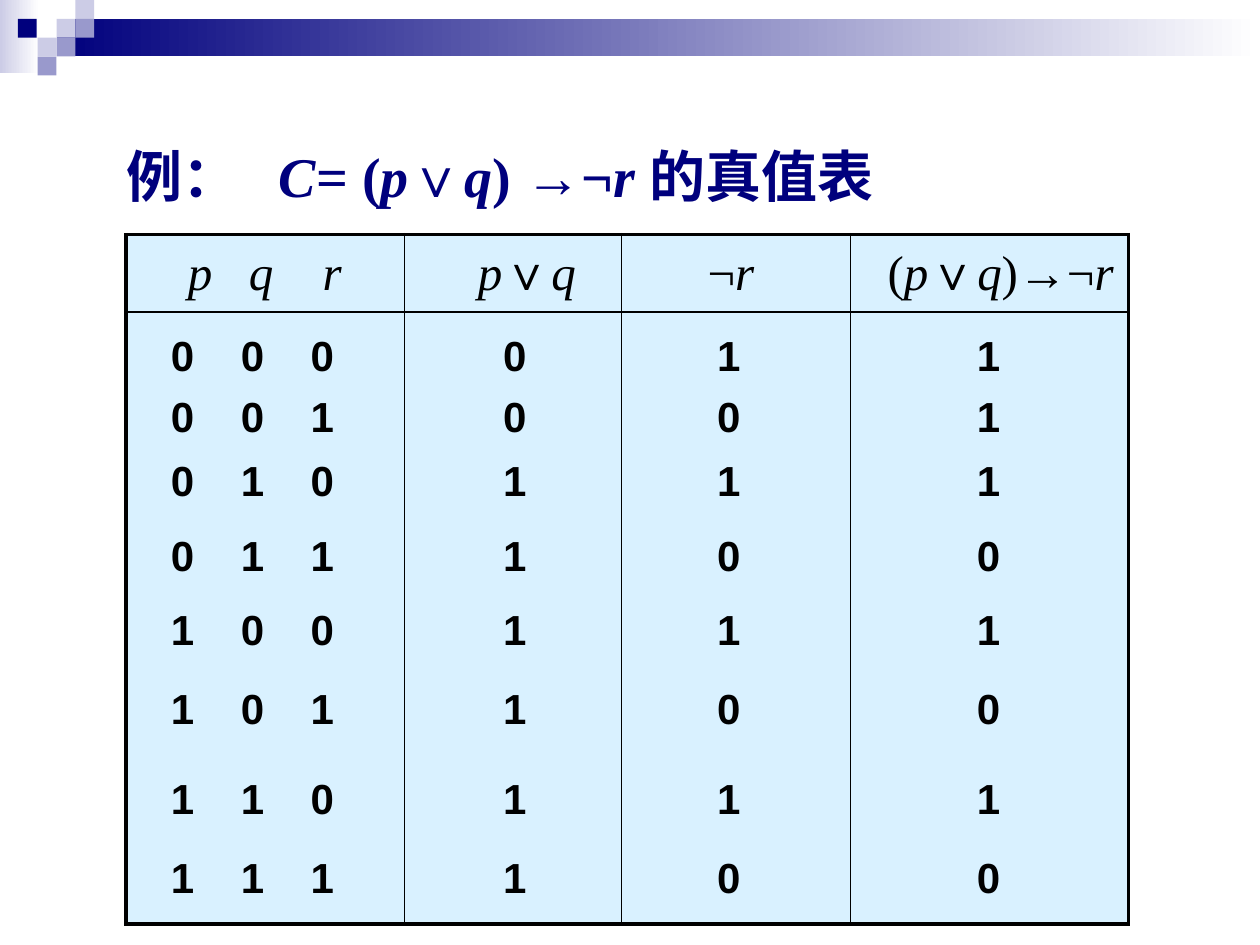
import itertools

import pptx
import pptx.dml.color
import pptx.enum.shapes
import pptx.enum.text
import pptx.oxml
import pptx.oxml.ns
import pptx.util

Cm = pptx.util.Cm
NAVY, LILAC, PALE, WHITE, BLACK, SKY = "00007D", "9999CC", "CCCCE6", "FFFFFF", "000000", "D9F1FF"
SERIF, SANS, CJK = "Times New Roman", "Arial", "Noto Sans CJK SC"
TILE = 0.38
ROW_TOPS = [6.52, 7.75, 9.04, 10.54, 12.04, 13.64, 15.44, 17.04]
COLUMN_LEFTS = [2.69, 7.98, 12.29, 17.53]
COLUMN_WIDTHS = [5.61, 4.38, 4.62, 5.6]
ROW_HEIGHTS = [1.55, 12.34]
HEADERS = [
    (["\t", "*p", "\t", "*q", "\t", "*r"], 0, [1.24, 2.47, 3.9]),
    (["*p", "∨", "*q"], 1.23, []),
    (["¬", "*r"], 1.48, []),
    (["(", "*p", "∨", "*q", ")→¬", "*r"], 0.49, []),
]


def rgb(color):
    """Turn a hex string into a colour."""
    return pptx.dml.color.RGBColor.from_string(color)


def sub(parent, tag, **attrs):
    """Append an XML child with attributes and return it."""
    el = pptx.oxml.parse_xml(f'<{tag} {pptx.oxml.ns.nsdecls("a")}/>')
    for key, value in attrs.items():
        el.set(key, str(value))
    parent.append(el)
    return el


def write(tf, parts, size, font, color=BLACK, bold=False, align="LEFT", spacing=None,
          indent=0, tabs=(), tab_align="ctr"):
    """Fill a text frame with one paragraph; a leading * marks an italic part."""
    p = tf.paragraphs[0]
    p.alignment = getattr(pptx.enum.text.PP_ALIGN, align)
    if spacing:
        p.line_spacing = spacing
    pPr = p._p.get_or_add_pPr()
    if indent:
        pPr.set("marL", str(Cm(indent)))
    if tabs:
        tab_list = sub(pPr, "a:tabLst")
        for pos in tabs:
            sub(tab_list, "a:tab", pos=Cm(pos), algn=tab_align)
    for part in parts:
        r = p.add_run()
        r.text = part.lstrip("*")
        r.font.size = pptx.util.Pt(size)
        r.font.name = font
        r.font.bold = bold
        r.font.italic = part.startswith("*")
        r.font.color.rgb = rgb(color)
        sub(r._r.get_or_add_rPr(), "a:ea", typeface=CJK)


def add_text(slide, left, top, width, height, parts, **style):
    """Add a wrapping text box."""
    tb = slide.shapes.add_textbox(Cm(left), Cm(top), Cm(width), Cm(height))
    tb.text_frame.word_wrap = True
    write(tb.text_frame, parts, **style)


def add_rect(slide, left, top, width, height, color, end=None):
    """Add a borderless rectangle, fading rightwards to the end colour if given."""
    sp = slide.shapes.add_shape(pptx.enum.shapes.MSO_SHAPE.RECTANGLE,
                                Cm(left), Cm(top), Cm(width), Cm(height))
    sp.shadow.inherit = False
    sp.line.fill.background()
    if end:
        sp.fill.gradient()
        sp.fill.gradient_angle = 0
        for stop, value in zip(sp.fill.gradient_stops, (color, end)):
            stop.color.rgb = rgb(value)
    else:
        sp.fill.solid()
        sp.fill.fore_color.rgb = rgb(color)


def add_banner(slide):
    """Draw the fading bar and its mosaic of tiles."""
    add_rect(slide, 0, 0, 0.79, 1.47, PALE, WHITE)
    add_rect(slide, 3 * TILE, TILE, 25.4 - 3 * TILE, 2 * TILE, NAVY, WHITE)
    tiles = [(3, 1, PALE), (4, 0, PALE), (4, 1, LILAC), (2, 2, PALE),
             (0.95, 1, NAVY), (3, 2, LILAC), (2, 3, LILAC)]
    for col, row, color in tiles:
        add_rect(slide, col * TILE, row * TILE, TILE, TILE, color)


def style_cell(cell, widths):
    """Set the fill of a cell and its left, right, top and bottom line widths."""
    tcPr = cell._tc.get_or_add_tcPr()
    for side, width in zip("LRTB", widths):
        ln = sub(tcPr, f"a:ln{side}", w=pptx.util.Pt(width))
        sub(sub(ln, "a:solidFill"), "a:srgbClr", val=BLACK)
    cell.fill.solid()
    cell.fill.fore_color.rgb = rgb(SKY)


def add_frame_table(slide):
    """Add the table with its formula headings and one tall body row."""
    rows, cols = len(ROW_HEIGHTS), len(COLUMN_WIDTHS)
    table = slide.shapes.add_table(rows, cols, Cm(2.54), Cm(4.73),
                                   Cm(sum(COLUMN_WIDTHS)), Cm(sum(ROW_HEIGHTS))).table
    table.first_row = table.horz_banding = False
    for column, width in zip(table.columns, COLUMN_WIDTHS):
        column.width = Cm(width)
    for row, height in zip(table.rows, ROW_HEIGHTS):
        row.height = Cm(height)
    for i, j in itertools.product(range(rows), range(cols)):
        outer = (j == 0, j == cols - 1, i == 0, i == rows - 1)
        style_cell(table.cell(i, j), [2.25 if edge else 1 for edge in outer])
    for j, (parts, indent, tabs) in enumerate(HEADERS):
        write(table.cell(0, j).text_frame, parts, size=28, font=SERIF, spacing=1.1,
              indent=indent, tabs=tabs)


def add_truth_values(slide):
    """Write the values of every assignment in rows over the table."""
    for top, (p, q, r) in zip(ROW_TOPS, itertools.product((0, 1), repeat=3)):
        either, negated = p | q, 1 - r
        result = (1 - either) | negated
        values = [f"\t{p}\t{q}\t{r}", str(either), str(negated), str(result)]
        for j, (left, value) in enumerate(zip(COLUMN_LEFTS, values)):
            layout = {"align": "CENTER"} if j else {"tabs": [0.74, 2.15, 3.56]}
            add_text(slide, left, top, 4.8, 1.27, [value], size=24, font=SANS,
                     bold=True, **layout)


def main():
    """Build and save the slide."""
    prs = pptx.Presentation()
    prs.slide_width, prs.slide_height = Cm(25.4), Cm(19.05)
    slide = prs.slides.add_slide(prs.slide_layouts[6])
    add_banner(slide)
    add_text(slide, 2.31, 2.72, 21.21, 1.6,
             ["例：\t", "*C", "= (", "*p", "∨", "*q", ") →¬", "*r ", "的真值表"],
             size=32, font=SERIF, color=NAVY, bold=True, tabs=[3.06], tab_align="l")
    add_frame_table(slide)
    add_truth_values(slide)
    prs.save("out.pptx")


if __name__ == "__main__":
    main()
